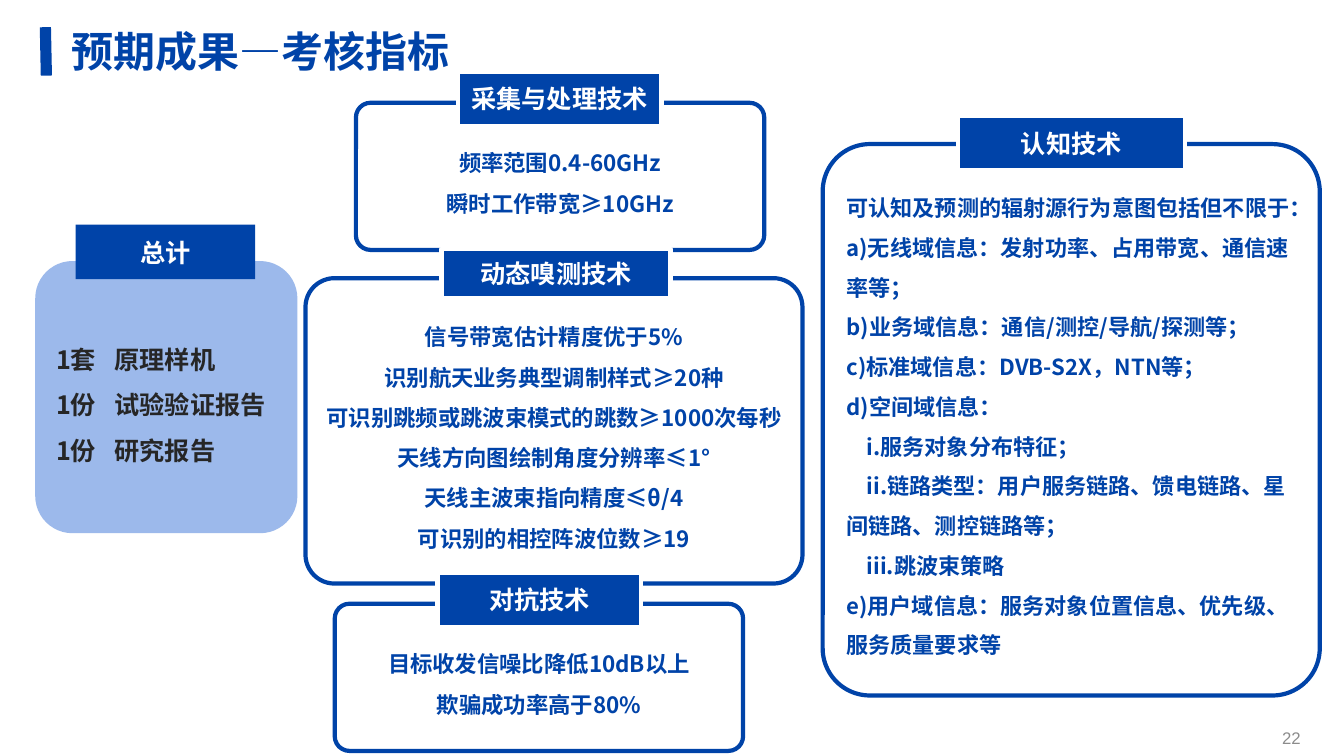
import pptx
import pptx.util
import pptx.dml.color
import pptx.enum.shapes
import pptx.enum.text
import pptx.oxml.ns
from lxml import etree

Inches = pptx.util.Inches
Pt = pptx.util.Pt
ALIGN = pptx.enum.text.PP_ALIGN
SHAPE = pptx.enum.shapes.MSO_SHAPE
qn = pptx.oxml.ns.qn

BLUE, WHITE, PALE, DARK, GREY = "0043A8", "FFFFFF", "9CB9EB", "262626", "8C8C8C"
CJK = "Noto Sans CJK SC"
SUB_INDENT = Inches(0.2)
COUNT_TAB = Inches(0.58)


def color(value):
    return pptx.dml.color.RGBColor.from_string(value)


def write(box, lines, size, ink, align=ALIGN.CENTER, spacing=None, font=CJK, bold=True):
    frame = box.text_frame
    frame.word_wrap = True
    frame.vertical_anchor = pptx.enum.text.MSO_ANCHOR.MIDDLE
    for index, line in enumerate(lines):
        para = frame.paragraphs[0] if index == 0 else frame.add_paragraph()
        para.alignment = align
        if spacing:
            para.line_spacing = spacing
        properties = para._p.get_or_add_pPr()
        # Roman-numbered items are indented on their first line
        if line.startswith(("i.", "ii.", "iii.")):
            properties.set("marL", "0")
            properties.set("indent", str(SUB_INDENT))
        if "\t" in line:
            tabs = etree.SubElement(properties, qn("a:tabLst"))
            etree.SubElement(tabs, qn("a:tab"), pos=str(COUNT_TAB), algn="l")
        span = para.add_run()
        span.text = line
        span.font.size = Pt(size)
        span.font.bold = bold
        span.font.color.rgb = color(ink)
        span.font.name = font
        etree.SubElement(span._r.get_or_add_rPr(), qn("a:ea"), typeface=font)


deck = pptx.Presentation()
deck.slide_width, deck.slide_height = Inches(13.33), Inches(7.5)
page = deck.slides.add_slide(deck.slide_layouts[6])

# Panels: place, corner, fill, outline, text style, lines; then the heading and its place
panels = [
    ((3.53, 1.02, 4.05, 1.46), 0.1, None, BLUE, 16, BLUE, ALIGN.CENTER,
     ["频率范围0.4-60GHz", "瞬时工作带宽≥10GHz"],
     "采集与处理技术", (4.54, 0.71, 2.02, 0.54), WHITE),
    ((3.03, 2.76, 4.93, 3.03), 0.095, None, BLUE, 16, BLUE, ALIGN.CENTER,
     ["信号带宽估计精度优于5%", "识别航天业务典型调制样式≥20种",
      "可识别跳频或跳波束模式的跳数≥1000次每秒", "天线方向图绘制角度分辨率≤1°",
      "天线主波束指向精度≤θ/4", "可识别的相控阵波位数≥19"],
     "动态嗅测技术", (4.38, 2.47, 2.27, 0.49), WHITE),
    ((8.16, 1.43, 4.93, 5.47), 0.095, None, BLUE, 15.8, BLUE, ALIGN.LEFT,
     ["可认知及预测的辐射源行为意图包括但不限于：",
      "a)无线域信息：发射功率、占用带宽、通信速率等；",
      "b)业务域信息：通信/测控/导航/探测等；",
      "c)标准域信息：DVB-S2X，NTN等；",
      "d)空间域信息：",
      "i.服务对象分布特征；",
      "ii.链路类型：用户服务链路、馈电链路、星间链路、测控链路等；",
      "iii.跳波束策略",
      "e)用户域信息：服务对象位置信息、优先级、服务质量要求等"],
     "认知技术", (9.5, 1.15, 2.25, 0.54), WHITE),
    ((0.35, 2.59, 2.6, 2.7), 0.142, PALE, None, 18, DARK, ALIGN.LEFT,
     ["1套\t原理样机", "1份\t试验验证报告", "1份\t研究报告"],
     "总计", (0.75, 2.23, 1.78, 0.54), None),
    ((3.32, 5.99, 4.05, 1.46), 0.1, None, BLUE, 16, BLUE, ALIGN.CENTER,
     ["目标收发信噪比降低10dB以上", "欺骗成功率高于80%"],
     "对抗技术", (4.34, 5.68, 2.02, 0.54), WHITE),
]
for place, corner, fill, outline, size, ink, align, lines, heading, tab_place, tab_outline in panels:
    parts = [
        (place, corner, fill, outline, lines, size, ink, align, 1.5),
        (tab_place, 0, BLUE, tab_outline, [heading], 18, WHITE, ALIGN.CENTER, None),
    ]
    for where, radius, paint, edge, words, points, text_ink, side, spacing in parts:
        box = page.shapes.add_shape(SHAPE.ROUNDED_RECTANGLE, *map(Inches, where))
        box.adjustments[0] = radius
        box.shadow.inherit = False
        if paint:
            box.fill.solid()
            box.fill.fore_color.rgb = color(paint)
        else:
            box.fill.background()
        if edge:
            box.line.color.rgb = color(edge)
            box.line.width = Pt(3)
        else:
            box.line.fill.background()
        write(box, words, points, text_ink, side, spacing)

# Title with its accent bar
title = page.shapes.add_textbox(Inches(0.71), Inches(0.09), Inches(5.16), Inches(0.83))
frame = title.text_frame
frame.margin_left = frame.margin_right = frame.margin_top = frame.margin_bottom = 0
write(title, ["预期成果—考核指标"], 30, BLUE, ALIGN.LEFT)

accent = page.shapes.add_connector(
    pptx.enum.shapes.MSO_CONNECTOR.STRAIGHT,
    Inches(0.45), Inches(0.27), Inches(0.46), Inches(0.75))
accent.line.color.rgb = color(BLUE)
accent.line.width = Pt(8)
etree.SubElement(accent._element.spPr, qn("a:effectLst"))

# Page number
number = page.shapes.add_textbox(Inches(11.87), Inches(7.13), Inches(1.13), Inches(0.38))
write(number, ["22"], 12, GREY, ALIGN.RIGHT, font="Arial", bold=False)

deck.save("out.pptx")
